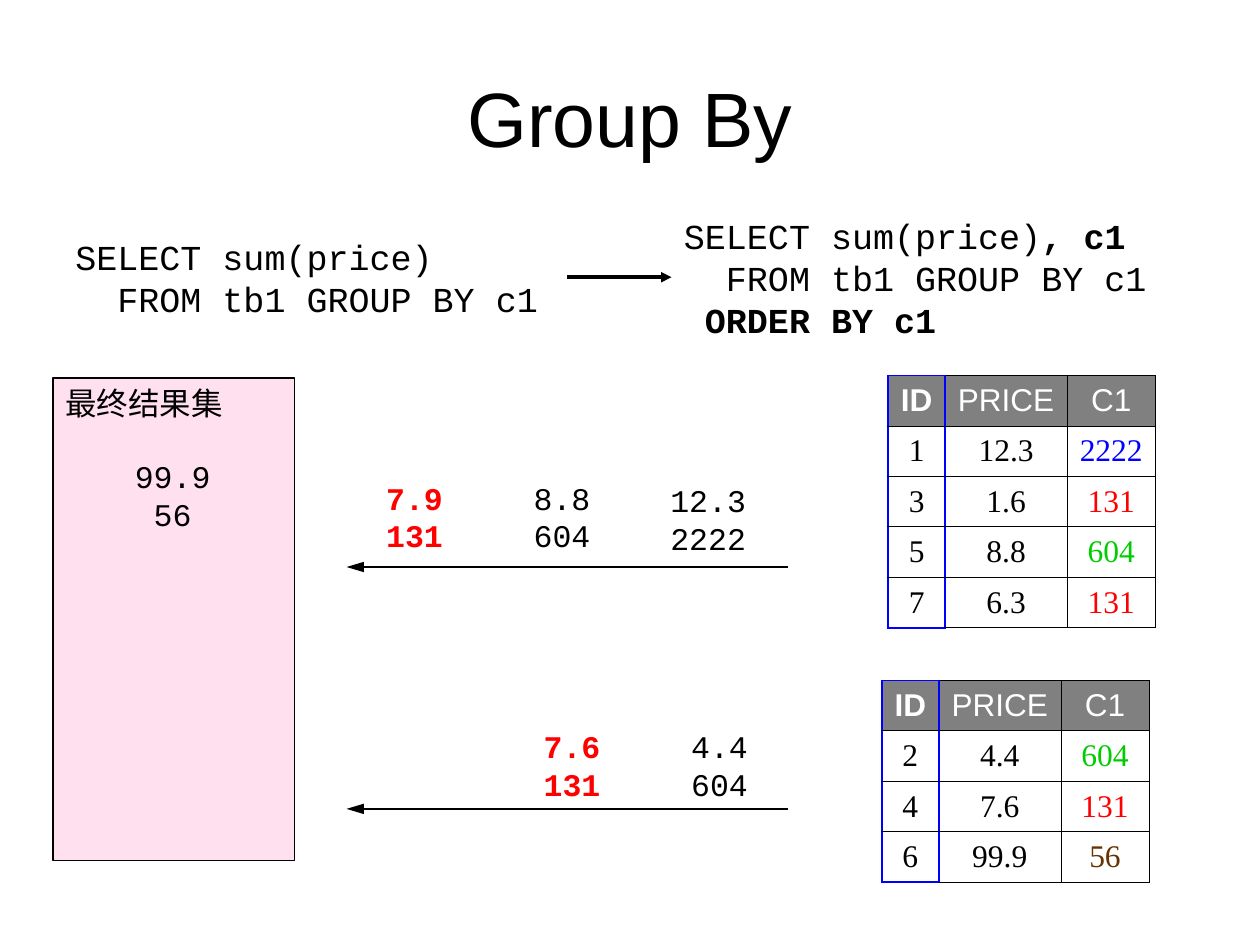
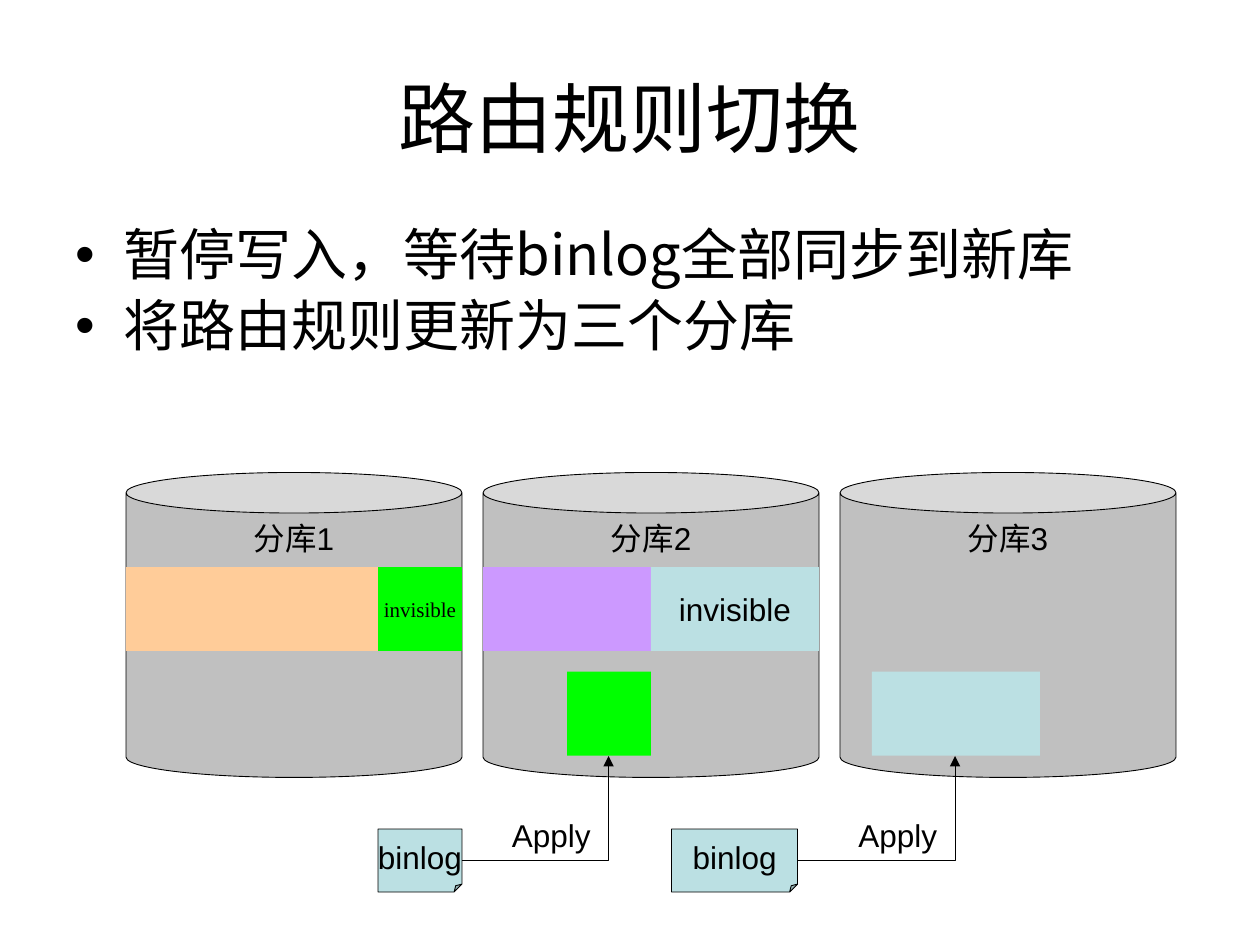
from dataclasses import dataclass

from lxml.etree import SubElement
from pptx import Presentation
from pptx.dml.color import RGBColor
from pptx.enum.shapes import MSO_CONNECTOR, MSO_SHAPE
from pptx.enum.text import MSO_ANCHOR, PP_ALIGN
from pptx.oxml.ns import qn
from pptx.util import Inches, Pt


@dataclass(frozen=True)
class Theme:
    black: str = "000000"
    white: str = "FFFFFF"
    gray: str = "808080"
    silver: str = "C0C0C0"
    blue: str = "0000FF"
    red: str = "FF0000"
    green: str = "00CC00"
    brown: str = "663300"
    pink: str = "FF99CC"
    peach: str = "FFCC99"
    purple: str = "CC99FF"
    lime: str = "00FF00"
    cyan: str = "BBE0E3"
    sans: str = "Arial"
    serif: str = "Times New Roman"
    mono: str = "Courier New"
    cjk: str = "Noto Sans CJK SC"
    title: int = 44
    body: int = 32
    code: int = 20
    label: int = 18
    small: int = 12
    thin: float = 0.5


T = Theme()
C1_COLORS = {"2222": T.blue, "131": T.red, "604": T.green, "56": T.brown}
UNIT = 2 / 3  # width of one data block on the cylinders


# Text helpers
def style_run(r, size, font, color=T.black, bold=False):
    r.font.size, r.font.name, r.font.bold = Pt(size), font, bold
    r.font.color.rgb = RGBColor.from_string(color)
    SubElement(r.font._element, qn("a:ea")).set("typeface", T.cjk)


def style_frame(tf, size, font, color=T.black, bold=False, align=PP_ALIGN.LEFT):
    for p in tf.paragraphs:
        p.alignment = align
        for r in p.runs:
            style_run(r, size, font, color, bold)


def add_text(slide, box, text, size, font, color=T.black, bold=False,
             align=PP_ALIGN.CENTER, anchor=MSO_ANCHOR.TOP):
    tf = slide.shapes.add_textbox(*map(Inches, box)).text_frame
    tf.word_wrap, tf.vertical_anchor = True, anchor
    tf.paragraphs[0].text = text
    style_frame(tf, size, font, color, bold, align)
    return tf


def add_title(slide, text, font):
    add_text(slide, (0.5, 0.3, 9, 1.25), text, T.title, font, anchor=MSO_ANCHOR.MIDDLE)


# Shape helpers
def add_box(slide, kind, box, fill, line=None, text="", size=T.label, font=T.sans,
            align=PP_ALIGN.CENTER, anchor=MSO_ANCHOR.MIDDLE, wrap=False):
    sp = slide.shapes.add_shape(kind, *map(Inches, box))
    sp.shadow.inherit = False
    sp.fill.solid()
    sp.fill.fore_color.rgb = RGBColor.from_string(fill)
    if line:
        sp.line.color.rgb = RGBColor.from_string(T.black)
        sp.line.width = Pt(line)
    else:
        sp.line.fill.background()
    if text:
        tf = sp.text_frame
        tf.text, tf.word_wrap, tf.vertical_anchor = text, wrap, anchor
        style_frame(tf, size, font, align=align)
    return sp


def add_arrow(slide, start, end, width, bent=False, length="med"):
    kind = MSO_CONNECTOR.ELBOW if bent else MSO_CONNECTOR.STRAIGHT
    cn = slide.shapes.add_connector(kind, *map(Inches, start + end))
    cn.line.color.rgb = RGBColor.from_string(T.black)
    cn.line.width = Pt(width)
    sp_pr = cn.element.spPr
    if bent:
        sp_pr.find(qn("a:prstGeom")).set("prst", "bentConnector2")
    head = SubElement(sp_pr.find(qn("a:ln")), qn("a:tailEnd"))
    head.set("type", "triangle")
    head.set("len", length)
    SubElement(sp_pr, qn("a:effectLst"))


# Group By slide
def add_sql(slide, box, lines):
    """Each line is a list of (text, bold) pieces."""
    p = add_text(slide, box, "", T.code, T.mono).paragraphs[0]
    p.alignment = PP_ALIGN.LEFT
    for i, line in enumerate(lines):
        if i:
            p.add_line_break()
        for text, bold in line:
            r = p.add_run()
            r.text = text
            style_run(r, T.code, T.mono, bold=bold)


def set_borders(cell, blue_sides):
    tc_pr = cell._tc.get_or_add_tcPr()
    for i, side in enumerate("LRTB"):
        blue = side in blue_sides
        ln = tc_pr.makeelement(qn(f"a:ln{side}"), {"w": str(Pt(1.08 if blue else 0.45))})
        fill = SubElement(ln, qn("a:solidFill"))
        SubElement(fill, qn("a:srgbClr")).set("val", T.blue if blue else T.black)
        tc_pr.insert(i, ln)


def blue_sides(row, col, last):
    if col == 0:
        return "LR" + ("T" if row == 0 else "") + ("B" if row == last else "")
    return "L" if col == 1 else ""


def add_price_table(slide, left, top, records):
    rows = [("ID", "PRICE", "C1"), *records]
    widths, row_h = (0.45, 0.97, 0.7), 0.4
    frame = slide.shapes.add_table(len(rows), len(widths), *map(
        Inches, (left, top, sum(widths), row_h * len(rows))))
    table = frame.table
    table.first_row = table.horz_banding = False
    for col, width in zip(table.columns, widths):
        col.width = Inches(width)
    for i, row in enumerate(rows):
        for j, text in enumerate(row):
            cell = table.cell(i, j)
            cell.text = text
            cell.margin_left = cell.margin_right = Inches(0.05)
            cell.vertical_anchor = MSO_ANCHOR.MIDDLE
            cell.fill.solid()
            cell.fill.fore_color.rgb = RGBColor.from_string(T.white if i else T.gray)
            color = T.white
            if i:
                color = C1_COLORS[text] if j == 2 else T.black
            style_frame(cell.text_frame, T.label, T.serif if i else T.sans, color,
                        bold=i == j == 0, align=PP_ALIGN.CENTER)
            set_borders(cell, blue_sides(i, j, len(rows) - 1))


def add_pair(slide, left, top, text, merging=False):
    add_text(slide, (left, top, 1.08, 0.7), text, T.label, T.mono,
             T.red if merging else T.black, merging)


def add_result_set(slide, left, top):
    sp = add_box(slide, MSO_SHAPE.RECTANGLE, (left, top, 1.92, 3.83), T.pink, 0.75,
                 "最终结果集", align=PP_ALIGN.LEFT, anchor=MSO_ANCHOR.TOP, wrap=True)
    color = sp.element.spPr.find(qn("a:solidFill")).find(qn("a:srgbClr"))
    SubElement(color, qn("a:alpha")).set("val", "30000")
    add_pair(slide, left + 0.41, top + 0.58, "99.9\n56")


def build_group_by(slide):
    add_title(slide, "Group By", T.sans)

    # Query rewrite
    add_sql(slide, (0.5, 1.82, 4, 0.77),
            [[("SELECT sum(price)", False)], [("  FROM tb1 GROUP BY c1", False)]])
    add_sql(slide, (5.33, 1.65, 4.33, 1.1),
            [[("SELECT sum(price)", False), (", c1", True)],
             [("  FROM tb1 GROUP BY c1", False)],
             [(" ", False), ("ORDER BY c1", True)]])
    add_arrow(slide, (4.5, 2.2), (5.33, 2.2), 2)

    # Source tables
    add_price_table(slide, 7.05, 2.98, [("1", "12.3", "2222"), ("3", "1.6", "131"),
                                        ("5", "8.8", "604"), ("7", "6.3", "131")])
    add_price_table(slide, 7, 5.4, [("2", "4.4", "604"), ("4", "7.6", "131"),
                                    ("6", "99.9", "56")])

    # Sorted streams flowing into the result set
    add_pair(slide, 2.75, 3.75, "7.9\n131", merging=True)
    add_pair(slide, 3.92, 3.75, "8.8\n604")
    add_pair(slide, 5.08, 3.77, "12.3\n2222")
    add_pair(slide, 4, 5.72, "7.6\n131", merging=True)
    add_pair(slide, 5.17, 5.72, "4.4\n604")
    add_result_set(slide, 0.42, 3)
    for y in (4.5, 6.42):
        add_arrow(slide, (6.25, y), (2.75, y), 1.25, length="lg")


# Routing switch slide
def add_bullets(slide, box, items):
    tf = add_text(slide, box, "", T.body, T.cjk)
    tf.text = "\n".join(items)
    style_frame(tf, T.body, T.cjk)
    for p in tf.paragraphs:
        p.space_before, p.line_spacing = Pt(6), 0.9
        p_pr = p._p.get_or_add_pPr()
        p_pr.set("marL", str(Inches(0.38)))
        p_pr.set("indent", str(Inches(-0.38)))
        SubElement(p_pr, qn("a:buFont")).set("typeface", T.sans)
        SubElement(p_pr, qn("a:buChar")).set("char", "•")


def add_database(slide, left, top, name, blocks):
    """Each block is (start, width, drop, colour, text size, font); start and width in units."""
    can = add_box(slide, MSO_SHAPE.CAN, (left, top, 4 * UNIT, 2.42), T.silver, T.thin,
                  name, anchor=MSO_ANCHOR.TOP)
    can.adjustments[0] = 0.133
    for start, width, drop, color, size, font in blocks:
        add_box(slide, MSO_SHAPE.RECTANGLE,
                (left + start * UNIT, top + drop, width * UNIT, UNIT), color,
                text="invisible" if size else "", size=size, font=font)


def add_binlog(slide, left, width, target):
    top, mid = 6.58, 6.83
    note = add_box(slide, MSO_SHAPE.FOLDED_CORNER, (left, top, width, 0.5), T.cyan,
                   T.thin, "binlog")
    # The library lists no adjustment for this preset, so the fold is set in XML
    guides = note.element.spPr.find(qn("a:prstGeom")).get_or_add_avLst()
    fold = SubElement(guides, qn("a:gd"))
    fold.set("name", "adj")
    fold.set("fmla", "val 12500")
    add_arrow(slide, (left + width, mid), (target, 6), T.thin, bent=True)
    add_text(slide, (target - 1.08, mid - 0.4, 1.25, 0.4), "Apply", T.label, T.sans)


def build_routing(slide):
    add_title(slide, "路由规则切换", T.cjk)
    add_bullets(slide, (0.5, 1.75, 9, 1.58),
                ["暂停写入，等待binlog全部同步到新库", "将路由规则更新为三个分库"])

    # Databases with their data blocks
    kept, synced = 0.75, 1.58
    databases = [
        [(0, 3, kept, T.peach, 0, T.sans), (3, 1, kept, T.lime, T.small, T.serif)],
        [(0, 2, kept, T.purple, 0, T.sans), (2, 2, kept, T.cyan, T.label, T.sans),
         (1, 1, synced, T.lime, 0, T.sans)],
        [(0.38, 2, synced, T.cyan, 0, T.sans)],
    ]
    for i, blocks in enumerate(databases):
        add_database(slide, 1 + i * 4.25 * UNIT, 3.75, f"分库{i + 1}", blocks)

    # Binlogs applied to the new blocks
    add_binlog(slide, 3, UNIT, 4.83)
    add_binlog(slide, 5.33, 1, 7.58)


def main():
    prs = Presentation()
    prs.slide_width, prs.slide_height = Inches(10), Inches(7.5)
    for build in (build_group_by, build_routing):
        build(prs.slides.add_slide(prs.slide_layouts[6]))
    prs.save("out.pptx")


if __name__ == "__main__":
    main()
